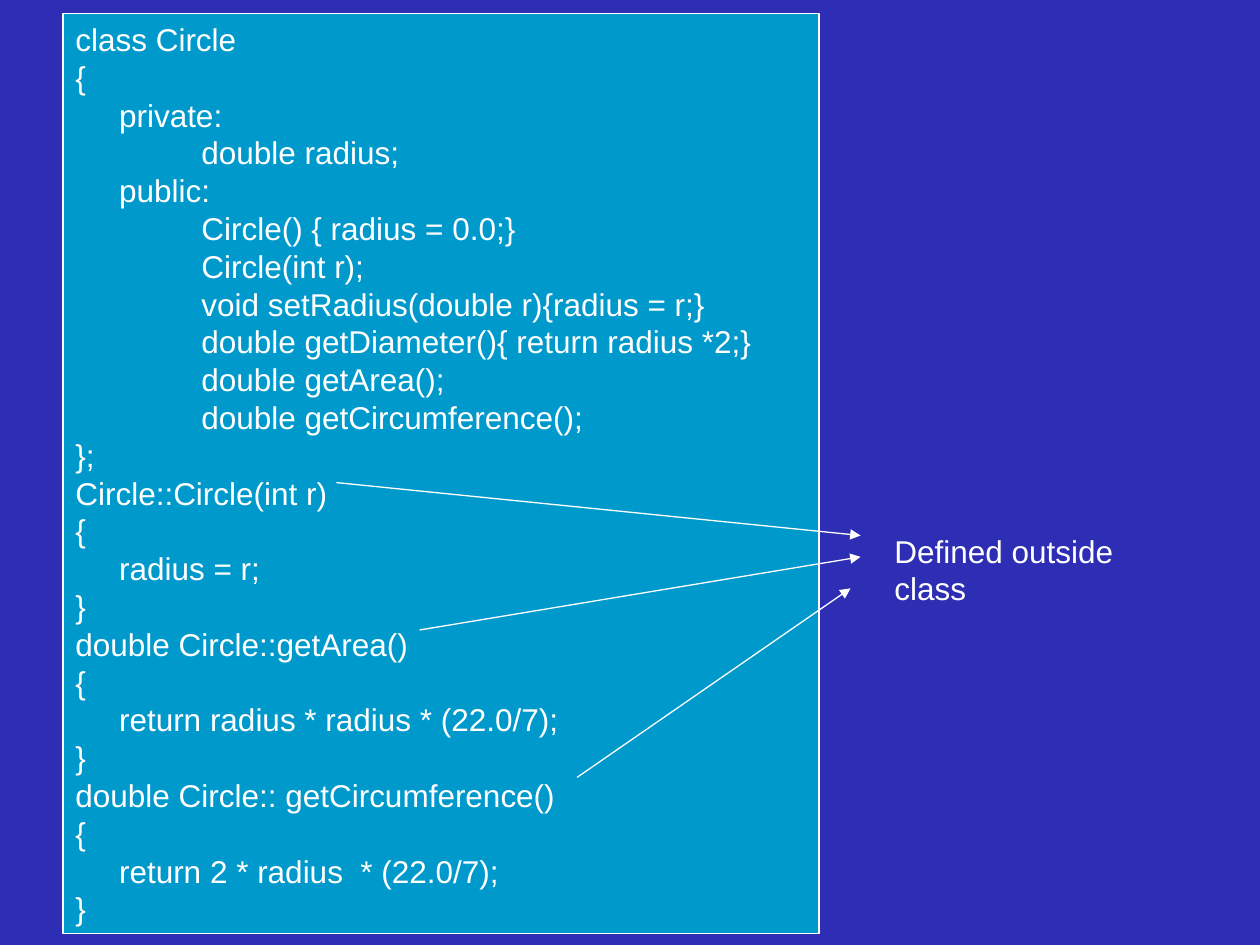
from lxml import etree
from pptx import Presentation, util as u
from pptx.dml.color import RGBColor
from pptx.enum import shapes, text
from pptx.oxml.ns import qn

BACKGROUND = RGBColor(0x2E, 0x2E, 0xB4)
PANEL = RGBColor(0x00, 0x99, 0xCC)
WHITE = RGBColor(0xFF, 0xFF, 0xFF)

CODE = """class Circle
{
     private:
\tdouble radius;
     public:
\tCircle() { radius = 0.0;}
\tCircle(int r);
\tvoid setRadius(double r){radius = r;}
\tdouble getDiameter(){ return radius *2;}
\tdouble getArea();
\tdouble getCircumference();
};
Circle::Circle(int r)
{
     radius = r;
}
double Circle::getArea()
{
     return radius * radius * (22.0/7);
}
double Circle:: getCircumference()
{
     return 2 * radius  * (22.0/7);
}"""


def write_text(shape, words, size=18, font="Arial", color=WHITE, wrap=True,
               anchor=text.MSO_ANCHOR.TOP, tab=u.Inches(1)):
    frame = shape.text_frame
    frame.word_wrap = wrap
    frame.auto_size = text.MSO_AUTO_SIZE.SHAPE_TO_FIT_TEXT
    frame.vertical_anchor = anchor
    for index, line in enumerate(words.split("\n")):
        para = frame.add_paragraph() if index else frame.paragraphs[0]
        para.alignment = text.PP_ALIGN.LEFT
        stops = etree.SubElement(para._p.get_or_add_pPr(), qn("a:tabLst"))
        etree.SubElement(stops, qn("a:tab"), pos=str(tab), algn="l")
        span = para.add_run()
        span.text = line
        span.font.size = u.Pt(size)
        span.font.name = font
        span.font.color.rgb = color


deck = Presentation()
deck.slide_width, deck.slide_height = u.Inches(10), u.Inches(7.5)
page = deck.slides.add_slide(deck.slide_layouts[6])
page.background.fill.solid()
page.background.fill.fore_color.rgb = BACKGROUND

panel = page.shapes.add_shape(
    shapes.MSO_SHAPE.RECTANGLE,
    u.Inches(0.5), u.Inches(0.11), u.Inches(6), u.Inches(7.3))
panel.shadow.inherit = False
panel.fill.solid()
panel.fill.fore_color.rgb = PANEL
panel.line.color.rgb = WHITE
panel.line.width = u.Pt(0.75)
write_text(panel, CODE, anchor=text.MSO_ANCHOR.MIDDLE)

arrows = [
    (2.67, 3.83, 6.83, 4.25),
    (3.33, 5, 6.83, 4.42),
    (4.58, 6.17, 6.75, 4.67),
]
for ends in arrows:
    arrow = page.shapes.add_connector(
        shapes.MSO_CONNECTOR.STRAIGHT, *(u.Inches(end) for end in ends))
    arrow.line.color.rgb = WHITE
    arrow.line.width = u.Pt(0.75)
    etree.SubElement(arrow.line._get_or_add_ln(), qn("a:tailEnd"), type="triangle")
    etree.SubElement(arrow._element.spPr, qn("a:effectLst"))

label = page.shapes.add_textbox(
    u.Inches(7), u.Inches(4.17), u.Inches(2.57), u.Inches(0.4))
write_text(label, "Defined outside class", wrap=False)

deck.save("out.pptx")
